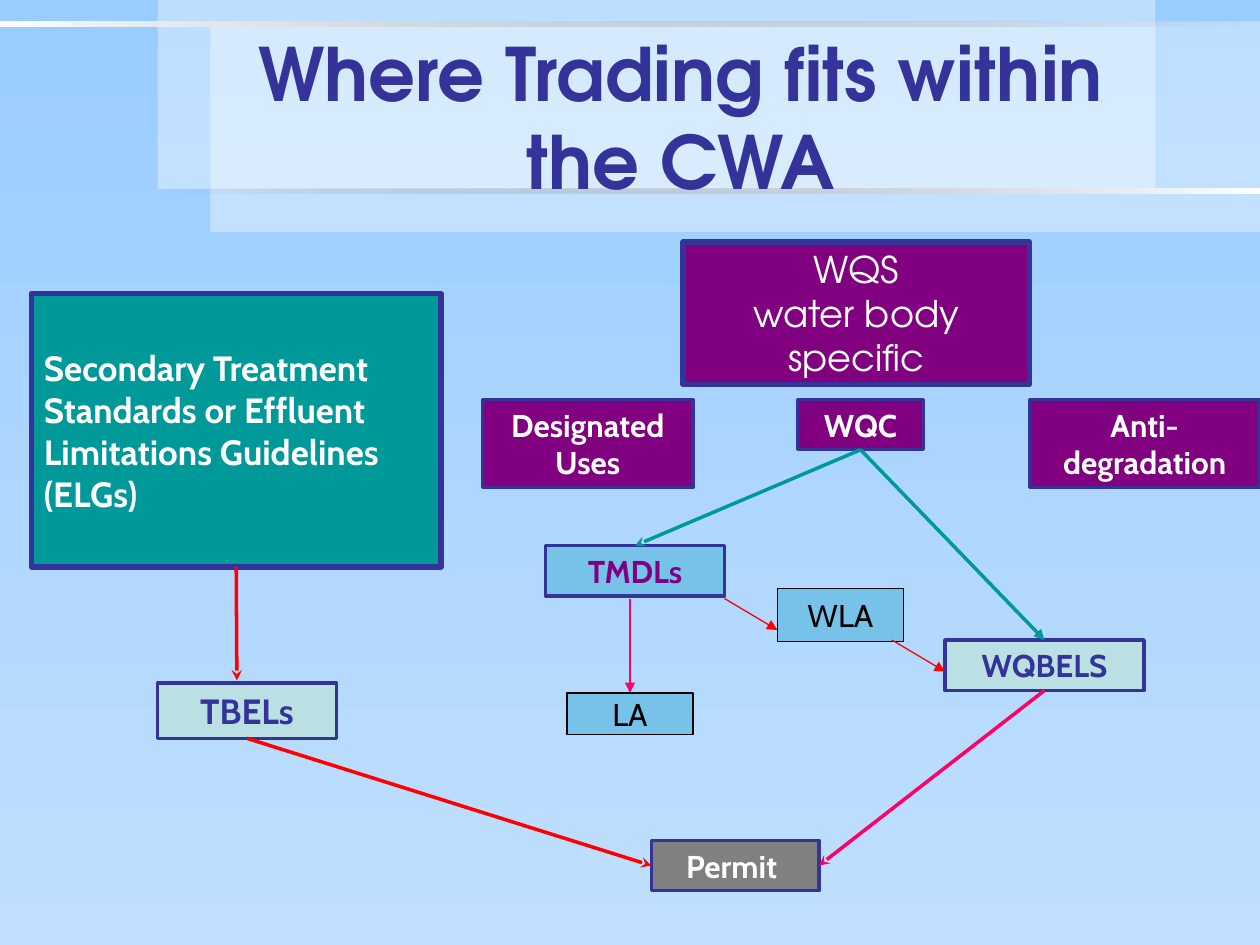
from lxml import etree
from pptx import Presentation
from pptx import util as u
from pptx.dml import color
from pptx.enum import shapes, text
from pptx.oxml import ns

NAVY, PURPLE, TEAL, WHITE, BLACK = "333399", "800080", "009999", "FFFFFF", "000000"
RED, PINK, SKY, MINT, GRAY = "FF0000", "FF0066", "77C2E9", "BBE0E3", "808080"
DISPLAY, BODY = "TeX Gyre Adventor", "Cabin"


def rgb(value):
    return color.RGBColor.from_string(value)


def inches(values):
    return [u.Inches(value) for value in values]


def set_alpha(color_element, percent):
    alpha = etree.SubElement(color_element, ns.qn("a:alpha"))
    alpha.set("val", str(percent * 1000))


def set_gradient(fill, first, last, angle):
    fill.gradient()
    fill.gradient_angle = angle
    for stop, position, value in zip(fill.gradient_stops, (0, 1), (first, last)):
        stop.position = position
        stop.color.rgb = rgb(value)


def write(frame, words, size, value, font=BODY, bold=True,
          align=text.PP_ALIGN.CENTER, anchor=text.MSO_ANCHOR.TOP, wrap=True):
    frame.text = words
    frame.word_wrap = wrap
    frame.auto_size = text.MSO_AUTO_SIZE.NONE
    frame.vertical_anchor = anchor
    for para in frame.paragraphs:
        para.alignment = align
        for span in para.runs:
            span.font.name = font
            span.font.size = u.Pt(size)
            span.font.bold = bold
            span.font.color.rgb = rgb(value)


def add_plain(page, box):
    shape = page.shapes.add_shape(shapes.MSO_SHAPE.RECTANGLE, *inches(box))
    shape.shadow.inherit = False
    shape.line.fill.background()
    return shape


def add_panel(page, box):
    """Translucent white panel behind the title."""
    panel = add_plain(page, box)
    panel.fill.solid()
    panel.fill.fore_color.rgb = rgb(WHITE)
    set_alpha(panel.fill._xPr.find(".//" + ns.qn("a:srgbClr")), 37)


def add_rule(page, box, angle):
    """Thin bar fading from white to a clear grey."""
    rule = add_plain(page, box)
    set_gradient(rule.fill, WHITE, "757575", angle)
    set_alpha(rule.fill._xPr.findall(".//" + ns.qn("a:srgbClr"))[-1], 0)


def add_backdrop(page):
    set_gradient(page.background.fill, "99CCFF", "C0DFFE", 270)
    add_panel(page, (1.67, 0.17, 8.33, 1.67))
    add_panel(page, (1.25, 0, 7.92, 1.5))
    add_rule(page, (0, 0.17, 10, 0.04), 0)
    add_rule(page, (1.25, 1.5, 8.75, 0.04), 180)


def add_title(page, box):
    title = page.shapes.title
    title.left, title.top, title.width, title.height = inches(box)
    write(title.text_frame, "Where Trading fits within the CWA", 42, NAVY, DISPLAY)


def add_box(page, box, words, fill, value, size=18, line=NAVY, weight=2, **style):
    shape = add_plain(page, box)
    shape.fill.solid()
    shape.fill.fore_color.rgb = rgb(fill)
    shape.line.color.rgb = rgb(line)
    shape.line.width = u.Pt(weight)
    write(shape.text_frame, words, size, value, **style)
    return shape


def add_arrow(page, start, end, value, weight=2, head="stealth"):
    """Each end is a point in inches or a (shape, side) pair to join."""
    arrow = page.shapes.add_connector(shapes.MSO_CONNECTOR.STRAIGHT, 0, 0, 0, 0)
    if isinstance(start[0], (int, float)):
        arrow.begin_x, arrow.begin_y = inches(start)
    else:
        arrow.begin_connect(*start)
    if isinstance(end[0], (int, float)):
        arrow.end_x, arrow.end_y = inches(end)
    else:
        arrow.end_connect(*end)
    arrow.line.color.rgb = rgb(value)
    arrow.line.width = u.Pt(weight)
    tail = etree.SubElement(arrow.line._get_or_add_ln(), ns.qn("a:tailEnd"))
    tail.set("type", head)
    etree.SubElement(arrow._element.spPr, ns.qn("a:effectLst"))


def add_flow(page):
    top, bottom, left, right = 0, 2, 1, 3
    middle = text.MSO_ANCHOR.MIDDLE

    # Water quality standards and their three parts
    add_box(page, (5.42, 1.92, 2.75, 1.13), "WQS\vwater body specific", PURPLE, WHITE,
            21, weight=3, font=DISPLAY, bold=False, anchor=middle)
    add_box(page, (3.83, 3.17, 1.67, 0.7), "Designated\nUses", PURPLE, WHITE)
    wqc = add_box(page, (6.33, 3.17, 1, 0.4), "WQC", PURPLE, WHITE)
    add_box(page, (8.17, 3.17, 1.83, 0.7), "Anti-degradation", PURPLE, WHITE)

    # Technology-based branch
    guidelines = add_box(
        page, (0.25, 2.33, 3.25, 2.17),
        "Secondary Treatment Standards or Effluent Limitations Guidelines\v(ELGs)",
        TEAL, WHITE, 20, weight=3, align=text.PP_ALIGN.LEFT, anchor=middle)
    tbels = add_box(page, (1.25, 5.42, 1.42, 0.44), "TBELs", MINT, NAVY, 20)

    # Water-quality-based branch
    tmdls = add_box(page, (4.33, 4.33, 1.42, 0.4), "TMDLs", SKY, PURPLE)
    wqbels = add_box(page, (7.5, 5.08, 1.58, 0.4), "WQBELS", MINT, NAVY)
    thin = dict(line=BLACK, weight=0.75, bold=False, anchor=middle, wrap=False)
    add_box(page, (6.17, 4.67, 1, 0.42), "WLA", SKY, BLACK, **thin)
    la = add_box(page, (4.5, 5.5, 1, 0.33), "LA", SKY, BLACK, **thin)

    permit = add_box(page, (5.17, 6.67, 1.33, 0.4), "Permit ", GRAY, WHITE)

    # Main arrows
    add_arrow(page, (wqc, bottom), (tmdls, top), TEAL)
    add_arrow(page, (wqc, bottom), (wqbels, top), TEAL, head="triangle")
    add_arrow(page, (wqbels, bottom), (permit, right), PINK)
    add_arrow(page, (guidelines, bottom), (1.88, 5.4), RED)
    add_arrow(page, (tbels, bottom), (permit, left), RED)

    # Thin allocation arrows
    add_arrow(page, (5, 4.75), (la, top), PINK, 0.75, "triangle")
    add_arrow(page, (5.75, 4.75), (6.17, 5), RED, 0.75, "triangle")
    add_arrow(page, (7.08, 5.08), (7.5, 5.33), RED, 0.75, "triangle")


def main():
    deck = Presentation()
    deck.slide_width, deck.slide_height = inches((10, 7.5))
    page = deck.slides.add_slide(deck.slide_layouts.get_by_name("Title Only"))
    add_backdrop(page)
    add_title(page, (1.67, 0.17, 7.46, 1.5))
    # The title comes in front of the panels
    page.shapes._spTree.append(page.shapes.title._element)
    add_flow(page)
    deck.save("out.pptx")


if __name__ == "__main__":
    main()
